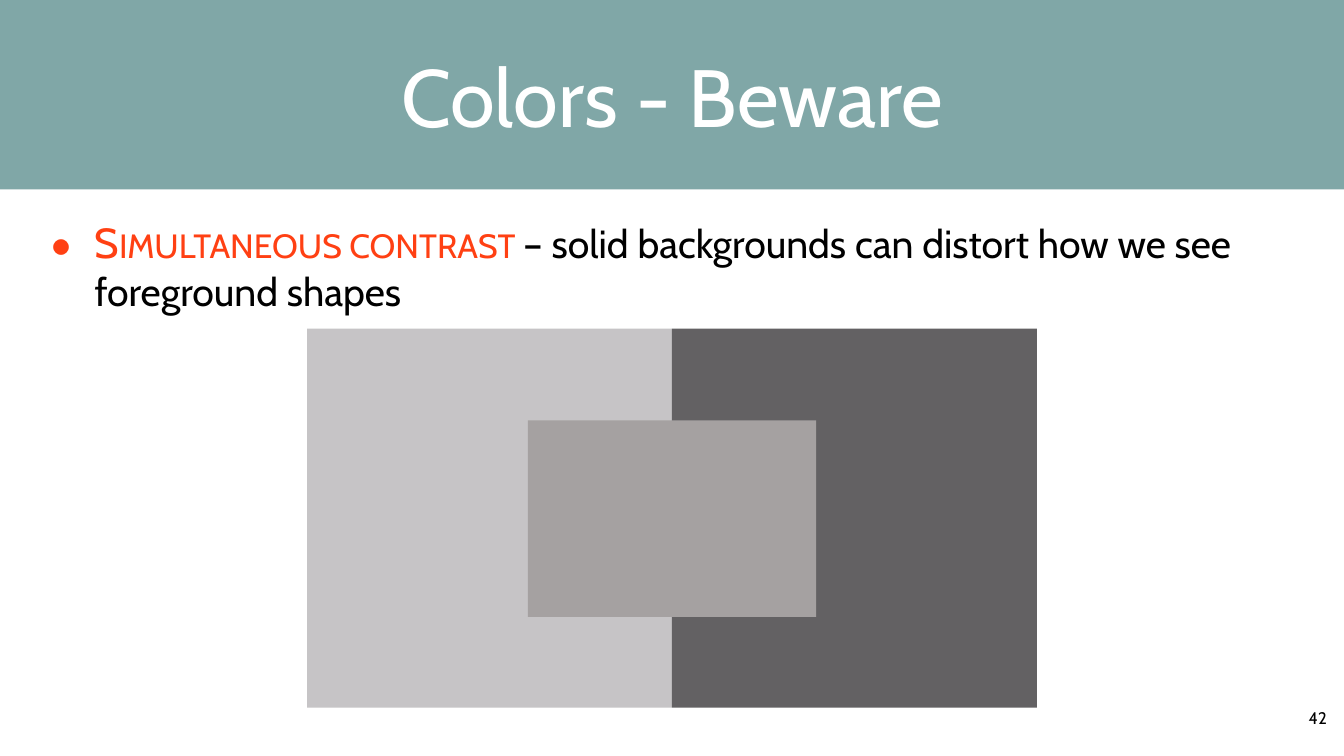
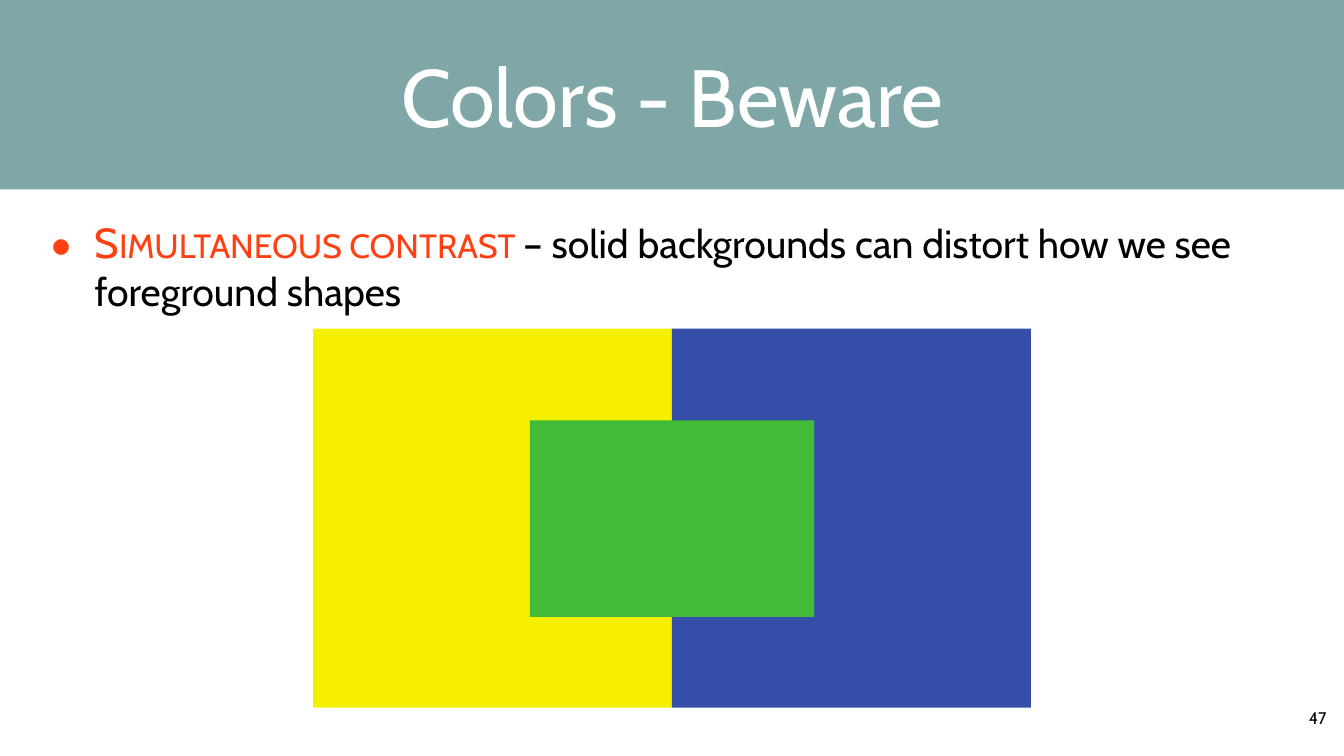
from pptx import Presentation
from pptx.dml.color import RGBColor
from pptx.enum.shapes import MSO_SHAPE
from pptx.enum.text import MSO_ANCHOR, MSO_AUTO_SIZE, PP_ALIGN
from pptx.oxml.xmlchemy import OxmlElement
from pptx.util import Inches, Pt

FONT = "Cabin"
TEAL = RGBColor(0x80, 0xA7, 0xA7)
ORANGE = RGBColor(0xFF, 0x40, 0x13)
BLACK = RGBColor(0x00, 0x00, 0x00)
WHITE = RGBColor(0xFF, 0xFF, 0xFF)
LIGHT_GRAY = RGBColor(0xC6, 0xC4, 0xC6)
DARK_GRAY = RGBColor(0x63, 0x61, 0x63)
MID_GRAY = RGBColor(0xA5, 0xA1, 0xA1)
YELLOW = RGBColor(0xF4, 0xF0, 0x00)
BLUE = RGBColor(0x35, 0x4F, 0xA9)
GREEN = RGBColor(0x42, 0xBB, 0x38)

SLIDE_WIDTH = 13.33
CENTER = SLIDE_WIDTH / 2
BACKGROUND_TOP, BACKGROUND_HEIGHT = 3.26, 3.76
FOREGROUND_TOP, FOREGROUND_HEIGHT = 4.17, 1.95


def set_margins(frame, margin):
    frame.margin_left = frame.margin_right = Inches(margin)
    frame.margin_top = frame.margin_bottom = Inches(margin)


def add_run(paragraph, text, size, color):
    run = paragraph.add_run()
    run.text = text
    run.font.name = FONT
    run.font.size = Pt(size)
    run.font.color.rgb = color
    return run


def set_bullet(paragraph):
    properties = paragraph._p.get_or_add_pPr()
    properties.set("marL", str(Inches(0.61)))
    properties.set("indent", str(Inches(-0.44)))
    for tag, name, value in (
        ("a:buSzPct", "val", "171000"),
        ("a:buFont", "typeface", FONT),
        ("a:buChar", "char", "•"),
    ):
        element = OxmlElement(tag)
        element.set(name, value)
        properties.append(element)


def add_title(slide, text):
    title = slide.shapes.title
    title.left, title.top = Inches(0), Inches(0)
    title.width, title.height = Inches(SLIDE_WIDTH), Inches(1.88)
    title.fill.solid()
    title.fill.fore_color.rgb = TEAL
    frame = title.text_frame
    frame.auto_size = MSO_AUTO_SIZE.NONE
    frame.vertical_anchor = MSO_ANCHOR.MIDDLE
    set_margins(frame, 0.03)
    paragraph = frame.paragraphs[0]
    paragraph.alignment = PP_ALIGN.CENTER
    add_run(paragraph, text, 58, WHITE)


def add_page_number(slide, number):
    box = slide.shapes.add_textbox(
        Inches(12.87), Inches(6.97), Inches(0.4), Inches(0.31)
    )
    frame = box.text_frame
    frame.word_wrap = False
    frame.auto_size = MSO_AUTO_SIZE.NONE
    frame.vertical_anchor = MSO_ANCHOR.BOTTOM
    set_margins(frame, 0.06)
    paragraph = frame.paragraphs[0]
    paragraph.alignment = PP_ALIGN.CENTER
    add_run(paragraph, str(number), 12, BLACK)


def add_definition(slide, term, meaning):
    box = slide.shapes.add_textbox(
        Inches(0.23), Inches(2.1), Inches(12.73), Inches(4.71)
    )
    box.text_frame.word_wrap = True
    paragraph = box.text_frame.paragraphs[0]
    set_bullet(paragraph)
    term_run = add_run(paragraph, f"{term} ", 30, ORANGE)
    term_run.font._element.set("cap", "small")
    add_run(paragraph, meaning, 28, BLACK)


def add_rectangle(group, left, top, width, height, color):
    rectangle = group.shapes.add_shape(
        MSO_SHAPE.RECTANGLE,
        Inches(left), Inches(top), Inches(width), Inches(height),
    )
    rectangle.shadow.inherit = False
    rectangle.fill.solid()
    rectangle.fill.fore_color.rgb = color
    rectangle.line.fill.background()


def add_contrast_pair(slide, outer_width, inner_width, left_color, right_color, inner_color):
    group = slide.shapes.add_group_shape()
    for top, height, width, colors in (
        (BACKGROUND_TOP, BACKGROUND_HEIGHT, outer_width, (left_color, right_color)),
        (FOREGROUND_TOP, FOREGROUND_HEIGHT, inner_width, (inner_color, inner_color)),
    ):
        for left, color in zip((CENTER - width, CENTER), colors):
            add_rectangle(group, left, top, width, height, color)


def add_contrast_slide(presentation, number, *pair):
    slide = presentation.slides.add_slide(presentation.slide_layouts[5])
    add_title(slide, "Colors - Beware")
    add_page_number(slide, number)
    add_definition(
        slide,
        "Simultaneous contrast",
        "– solid backgrounds can distort how we see foreground shapes",
    )
    add_contrast_pair(slide, *pair)


def main():
    presentation = Presentation()
    presentation.slide_width = Inches(SLIDE_WIDTH)
    presentation.slide_height = Inches(7.5)
    add_contrast_slide(presentation, 42, 3.62, 1.43, LIGHT_GRAY, DARK_GRAY, MID_GRAY)
    add_contrast_slide(presentation, 47, 3.56, 1.41, YELLOW, BLUE, GREEN)
    presentation.save("out.pptx")


if __name__ == "__main__":
    main()
